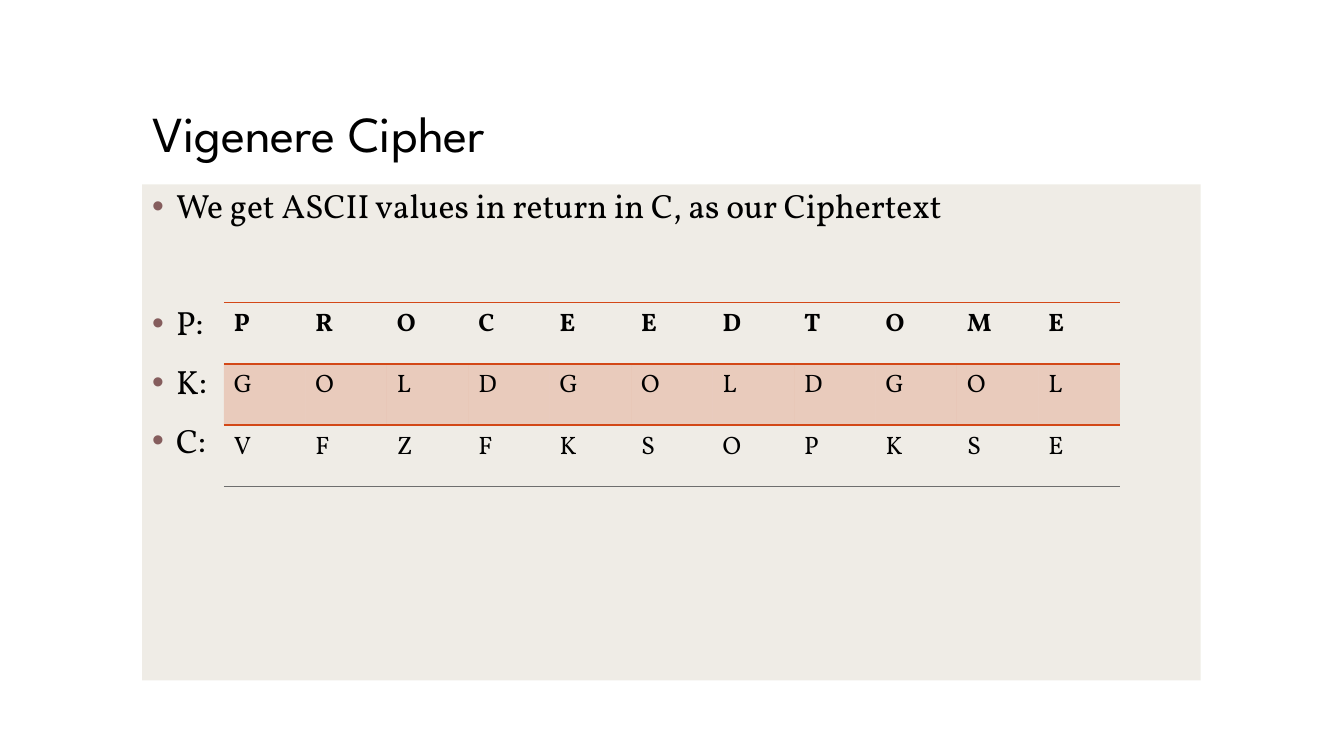
from lxml.etree import SubElement
from pptx import Presentation
from pptx.dml.color import RGBColor
from pptx.enum.shapes import MSO_SHAPE
from pptx.enum.text import MSO_ANCHOR, PP_ALIGN
from pptx.oxml.ns import qn
from pptx.util import Inches, Pt

BLACK = RGBColor(0x00, 0x00, 0x00)
SAND = RGBColor(0xE9, 0xE5, 0xDC)
ORANGE = RGBColor(0xD3, 0x48, 0x17)
MAUVE = RGBColor(0x85, 0x5D, 0x5D)
GREY = RGBColor(0x6E, 0x6E, 0x6E)

HEAD_FONT, BODY_FONT = "League Spartan", "Vollkorn"
NO_STYLE = "{2D5ABB26-0587-4C30-8999-92F81FD0307C}"

PLAINTEXT, KEY, CIPHERTEXT = "PROCEEDTOME", "GOLDGOLDGOL", "VFZFKSOPKSE"
# Text and space before, in points
BULLETS = [
    ("We get ASCII values in return in C, as our Ciphertext", 16),
    ("P:", 58),
    ("K:", 16),
    ("C:", 16),
]


def write(p, text, color=BLACK, **font):
    r = p.add_run()
    r.text = text
    r.font.color.rgb = color
    for name, value in font.items():
        setattr(r.font, name, value)


def set_alpha(fill_parent, percent):
    color = fill_parent.find(qn("a:solidFill")).find(qn("a:srgbClr"))
    SubElement(color, qn("a:alpha"), val=str(percent * 1000))


def add_bullet(p, color):
    pPr = p._p.get_or_add_pPr()
    pPr.set("marL", str(Inches(0.24)))
    pPr.set("indent", str(Inches(-0.25)))
    bu_clr = SubElement(pPr, qn("a:buClr"))
    SubElement(bu_clr, qn("a:srgbClr"), val=str(color))
    SubElement(pPr, qn("a:buFont"), typeface="Arial")
    SubElement(pPr, qn("a:buChar"), char="•")


def add_border(cell, side, color, width):
    ln = SubElement(cell._tc.get_or_add_tcPr(), qn(f"a:ln{side}"), w=str(Pt(width)))
    fill = SubElement(ln, qn("a:solidFill"))
    SubElement(fill, qn("a:srgbClr"), val=str(color))


def add_title(s, box, text):
    tf = s.shapes.add_textbox(*box).text_frame
    tf.word_wrap = True
    tf.vertical_anchor = MSO_ANCHOR.BOTTOM
    p = tf.paragraphs[0]
    p.line_spacing = 0.9
    write(p, text, name=HEAD_FONT, size=Pt(36))


def add_body(s, box, bullets):
    sp = s.shapes.add_shape(MSO_SHAPE.RECTANGLE, *box)
    sp.shadow.inherit = False
    sp.fill.solid()
    sp.fill.fore_color.rgb = SAND
    set_alpha(sp._element.spPr, 70)
    sp.line.fill.background()
    tf = sp.text_frame
    tf.word_wrap = True
    tf.vertical_anchor = MSO_ANCHOR.TOP
    for i, (text, before) in enumerate(bullets):
        p = tf.add_paragraph() if i else tf.paragraphs[0]
        for name, value in {"alignment": PP_ALIGN.LEFT, "line_spacing": 0.9,
                            "space_before": Pt(before)}.items():
            setattr(p, name, value)
        add_bullet(p, MAUVE)
        write(p, text, name=BODY_FONT, size=Pt(24))


def add_cipher_table(s, box, rows):
    table = s.shapes.add_table(len(rows), len(rows[0]), *box).table
    table.first_row = True
    table.horz_banding = False
    table._tbl.tblPr.find(qn("a:tableStyleId")).text = NO_STYLE
    # Rules above the plaintext, below it, and below the ciphertext
    borders = {0: [("T", ORANGE, 1), ("B", ORANGE, 1.5)],
               1: [("T", ORANGE, 1.5)],
               2: [("B", GREY, 1)]}
    for i, letters in enumerate(rows):
        for j, letter in enumerate(letters):
            cell = table.cell(i, j)
            for border in borders[i]:
                add_border(cell, *border)
            if i == 1:
                cell.fill.solid()
                cell.fill.fore_color.rgb = ORANGE
                set_alpha(cell._tc.tcPr, 20)
            else:
                cell.fill.background()
            write(cell.text_frame.paragraphs[0], letter,
                  name=BODY_FONT, size=Pt(18), bold=i == 0)


def main():
    prs = Presentation()
    prs.slide_width, prs.slide_height = Inches(13.33), Inches(7.5)
    s = prs.slides.add_slide(prs.slide_layouts[6])

    # Title and body share one column; the table sits inside the body
    left, width = Inches(1.41), Inches(10.5)
    body_top, body_height = Inches(1.83), Inches(4.92)
    add_body(s, (left, body_top, width, body_height), BULLETS)
    add_title(s, (left, Inches(0.42), width, Inches(1.25)), "Vigenere Cipher")
    add_cipher_table(s, (left + Inches(0.81), body_top + Inches(1.17),
                         Inches(8.89), Inches(1.83)),
                     [PLAINTEXT, KEY, CIPHERTEXT])
    prs.save("out.pptx")


if __name__ == "__main__":
    main()
